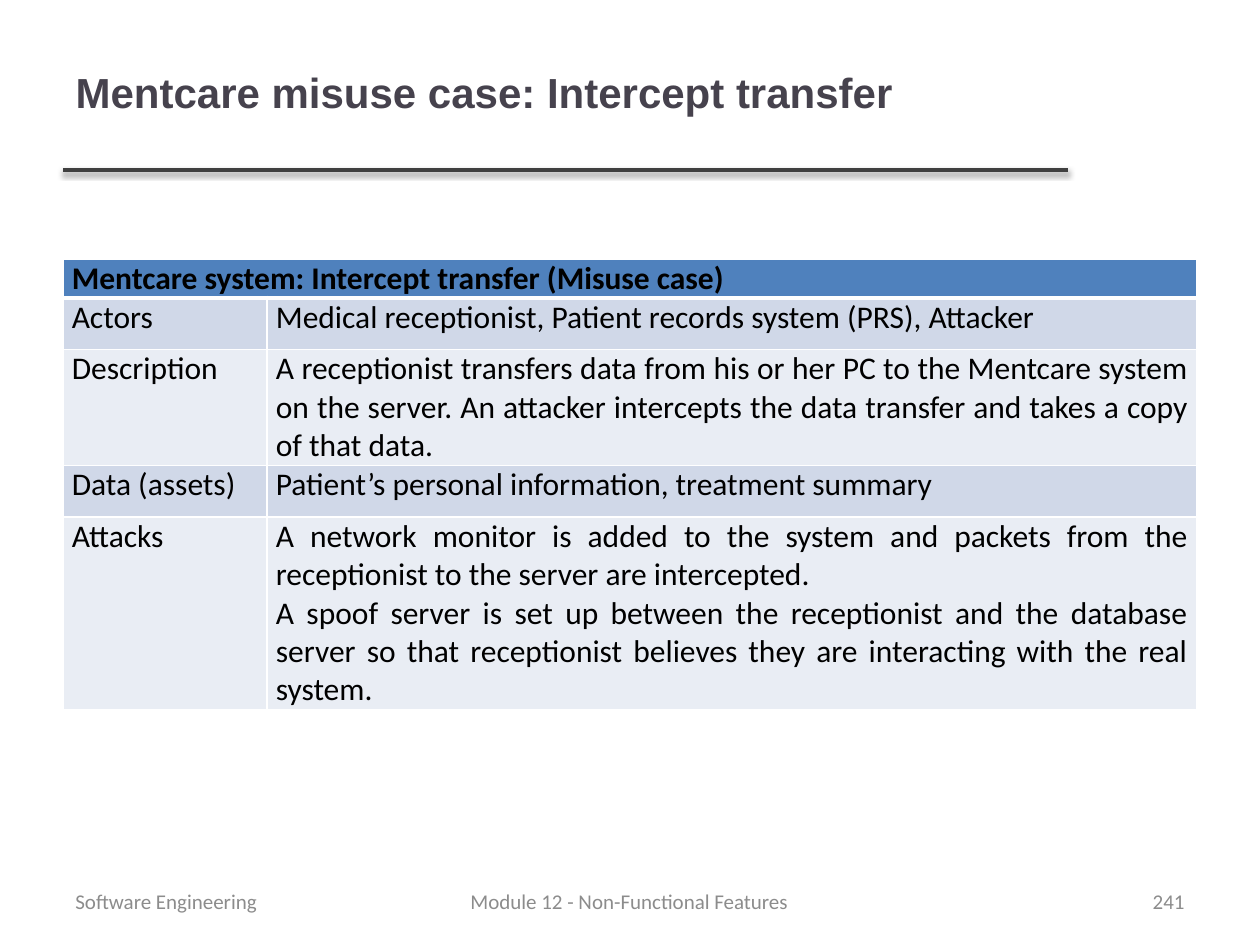
from dataclasses import dataclass

from lxml.etree import SubElement
from pptx import Presentation
from pptx.dml.color import RGBColor
from pptx.enum.shapes import MSO_CONNECTOR
from pptx.enum.text import MSO_ANCHOR, PP_ALIGN
from pptx.oxml import parse_xml
from pptx.oxml.ns import nsdecls, qn
from pptx.util import Pt

PX = 9144  # EMU in one px, 100 px to the inch


@dataclass(frozen=True)
class Theme:
    head: str = "Arial"
    body: str = "Calibri"
    title: str = "46424D"
    rule: str = "404040"
    ink: str = "000000"
    muted: str = "8C8C8C"
    banner: str = "4F81BD"
    bands: tuple = ("D0D8E8", "E9EDF4")
    edge: str = "FFFFFF"
    big: int = 24
    mid: int = 18
    small: int = 12


THEME = Theme()

HEADING = "Mentcare system: Intercept transfer (Misuse case)"
# label, row height, paragraphs
ROWS = [
    ("Actors", 41, ["Medical receptionist, Patient records system (PRS), Attacker"]),
    ("Description", 92, [
        "A receptionist transfers data from his or her PC to the Mentcare system "
        "on the server. An attacker intercepts the data transfer and takes a copy "
        "of that data."]),
    ("Data (assets)", 41, ["Patient’s personal information, treatment summary"]),
    ("Attacks", 152, [
        "A network monitor is added to the system and packets from the "
        "receptionist to the server are intercepted.",
        "A spoof server is set up between the receptionist and the database "
        "server so that receptionist believes they are interacting with the real "
        "system."]),
]


def emu(*sizes):
    return [size * PX for size in sizes]


def write(frame, lines, size=THEME.mid, font=THEME.body, color=THEME.ink,
          bold=False, align=PP_ALIGN.LEFT):
    frame.word_wrap = True
    for i, line in enumerate(lines):
        para = frame.add_paragraph() if i else frame.paragraphs[0]
        para.alignment = align
        run = para.add_run()
        run.text = line
        run.font.size = Pt(size)
        run.font.name = font
        run.font.bold = bold
        run.font.color.rgb = RGBColor.from_string(color)


def add_title(slide, text, x, y, w, h):
    """Place the title and the shadowed rule along the foot of its box."""
    title = slide.shapes.title
    title.left, title.top, title.width, title.height = emu(x, y, w, h)
    title.text_frame.vertical_anchor = MSO_ANCHOR.MIDDLE
    write(title.text_frame, [text], size=THEME.big, font=THEME.head,
          color=THEME.title, bold=True)

    rule = slide.shapes.add_connector(
        MSO_CONNECTOR.STRAIGHT, *emu(x, y + h, x + w, y + h))
    rule.line.color.rgb = RGBColor.from_string(THEME.rule)
    rule.line.width = Pt(2)
    rule.element.spPr.append(parse_xml(
        f'<a:effectLst {nsdecls("a")}>'
        f'<a:outerShdw blurRad="{Pt(3.1)}" dist="{Pt(1.6)}" dir="5400000" rotWithShape="0">'
        f'<a:srgbClr val="{THEME.ink}"><a:alpha val="38000"/></a:srgbClr>'
        '</a:outerShdw></a:effectLst>'))


def edge_cell(cell, foot):
    """Draw the four borders; foot is the width of the lower one in points."""
    props = cell._tc.get_or_add_tcPr()
    for i, side in enumerate("LRTB"):
        width = foot if side == "B" else 1
        line = SubElement(props, qn(f"a:ln{side}"), w=str(Pt(width)))
        fill = SubElement(line, qn("a:solidFill"))
        SubElement(fill, qn("a:srgbClr"), val=THEME.edge)
        props.insert(i, line)


def fill_cell(cell, lines, color, bold=False, foot=1):
    cell.margin_left = cell.margin_right = 7 * PX
    cell.margin_top = cell.margin_bottom = 0
    edge_cell(cell, foot)
    cell.fill.solid()
    cell.fill.fore_color.rgb = RGBColor.from_string(color)
    write(cell.text_frame, lines, bold=bold, align=PP_ALIGN.JUSTIFY)


def add_case(slide, x, y, w, label=162, top=30):
    """Place the case table: a merged heading over banded label and text rows."""
    highs = [top] + [high for _, high, _ in ROWS]
    table = slide.shapes.add_table(
        len(highs), 2, *emu(x, y, w, sum(highs))).table
    for col, wide in zip(table.columns, (label, w - label)):
        col.width = wide * PX
    for row, high in zip(table.rows, highs):
        row.height = high * PX

    table.cell(0, 0).merge(table.cell(0, 1))
    fill_cell(table.cell(0, 0), [HEADING], THEME.banner, bold=True, foot=3)
    for i, (name, _, lines) in enumerate(ROWS):
        band = THEME.bands[i % 2]
        fill_cell(table.cell(i + 1, 0), [name], band)
        fill_cell(table.cell(i + 1, 1), lines, band)


def add_footer(slide, x, y, w, h, side=233, mid=317):
    """Place the three footer texts at the left, centre and right of the box."""
    parts = [
        ("Software Engineering", x, side, PP_ALIGN.LEFT),
        ("Module 12 - Non-Functional Features", x + (w - mid) // 2, mid, PP_ALIGN.CENTER),
        ("241", x + w - side, side, PP_ALIGN.RIGHT),
    ]
    for text, left, wide, align in parts:
        frame = slide.shapes.add_textbox(*emu(left, y, wide, h)).text_frame
        frame.vertical_anchor = MSO_ANCHOR.MIDDLE
        write(frame, [text], size=THEME.small, color=THEME.muted, align=align)


def main():
    deck = Presentation()
    deck.slide_width, deck.slide_height = emu(1000, 750)
    slide = deck.slides.add_slide(deck.slide_layouts[5])
    add_title(slide, "Mentcare misuse case: Intercept transfer", 50, 10, 798, 125)
    add_case(slide, 50, 206, 900)
    add_footer(slide, 50, 695, 900, 40)
    deck.save("out.pptx")


if __name__ == "__main__":
    main()
